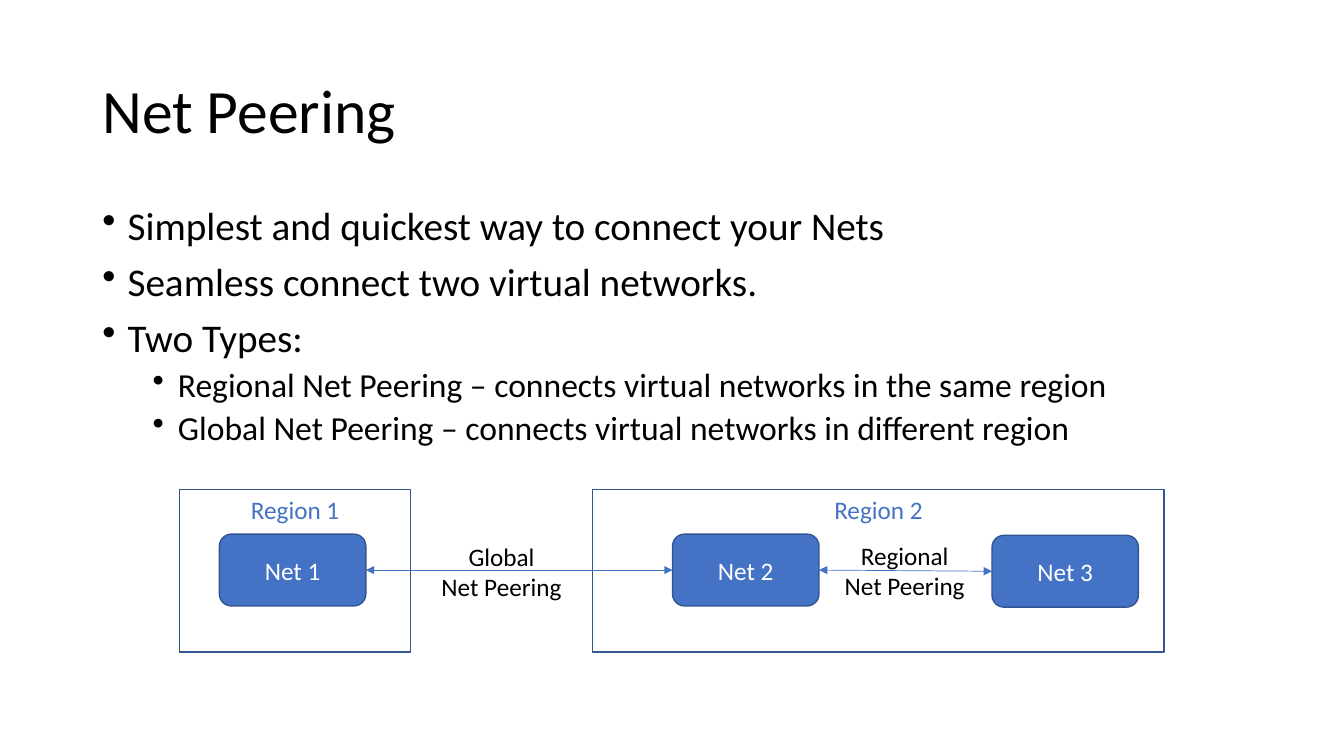
from pptx import Presentation
from pptx.dml.color import RGBColor
from pptx.enum.shapes import MSO_CONNECTOR as Connector, MSO_SHAPE as Preset
from pptx.enum.text import MSO_ANCHOR as Anchor, MSO_AUTO_SIZE as AutoSize, PP_ALIGN as Align
from pptx.oxml.ns import qn
from pptx.util import Cm, Pt
from lxml import etree

BLACK = RGBColor(0x00, 0x00, 0x00)
WHITE = RGBColor(0xFF, 0xFF, 0xFF)
BLUE = RGBColor(0x44, 0x72, 0xC4)
DARK_BLUE = RGBColor(0x32, 0x54, 0x91)
FONT = "Calibri"
LEFT_SITE, RIGHT_SITE = 1, 3

BULLETS = [
    (0, "Simplest and quickest way to connect your Nets"),
    (0, "Seamless connect two virtual networks."),
    (0, "Two Types:"),
    (1, "Regional Net Peering – connects virtual networks in the same region"),
    (1, "Global Net Peering – connects virtual networks in different region"),
]


def add_span(para, text, size, color):
    span = para.add_run()
    span.text = text
    span.font.name = FONT
    span.font.size = Pt(size)
    span.font.color.rgb = color


def add_paragraph(frame, index):
    return frame.paragraphs[0] if index == 0 else frame.add_paragraph()


def add_text_box(page, box, wrap=True):
    frame = page.shapes.add_textbox(*map(Cm, box)).text_frame
    frame.word_wrap = wrap
    return frame


def add_title(page, box):
    frame = add_text_box(page, box)
    frame.vertical_anchor = Anchor.MIDDLE
    para = frame.paragraphs[0]
    para.line_spacing = 0.9
    add_span(para, "Net Peering", 44, BLACK)


def add_bullets(page, box):
    frame = add_text_box(page, box)
    for index, (level, text) in enumerate(BULLETS):
        para = add_paragraph(frame, index)
        para.level = level
        para.line_spacing = 0.9
        para.space_before = Pt(5 if level else 10)
        add_span(para, text, 24 if level else 28, BLACK)
        properties = para._p.get_or_add_pPr()
        properties.set("marL", str(Cm(0.635 + 1.27 * level)))
        properties.set("indent", str(-Cm(0.635)))
        etree.SubElement(properties, qn("a:buChar"), char="•")


def add_block(page, preset, box, text, fill, color, anchor):
    shape = page.shapes.add_shape(preset, *map(Cm, box))
    shape.shadow.inherit = False
    if fill is None:
        shape.fill.background()
    else:
        shape.fill.solid()
        shape.fill.fore_color.rgb = fill
    shape.line.color.rgb = DARK_BLUE
    shape.line.width = Pt(1)
    shape.text_frame.vertical_anchor = anchor
    para = shape.text_frame.paragraphs[0]
    para.alignment = Align.CENTER
    add_span(para, text, 18, color)
    return shape


def add_peering_arrow(page, start, end):
    """Join two networks with a double-headed arrow."""
    arrow = page.shapes.add_connector(Connector.STRAIGHT, 0, 0, 0, 0)
    arrow.begin_connect(start, RIGHT_SITE)
    arrow.end_connect(end, LEFT_SITE)
    arrow.line.color.rgb = BLUE
    arrow.line.width = Pt(0.5)
    line = arrow.line._get_or_add_ln()
    for tag in ("a:headEnd", "a:tailEnd"):
        etree.SubElement(line, qn(tag), type="triangle")
    etree.SubElement(arrow._element.spPr, qn("a:effectLst"))


def add_peering_label(page, box, kind):
    frame = add_text_box(page, box, wrap=False)
    frame.auto_size = AutoSize.SHAPE_TO_FIT_TEXT
    for index, text in enumerate((kind, "Net Peering")):
        para = add_paragraph(frame, index)
        para.alignment = Align.CENTER
        add_span(para, text, 18, BLACK)


def add_diagram(page, box):
    left, top, width, height = box
    region_widths = (5.82, 14.4)
    region_lefts = (left, left + width - region_widths[1])
    for number, (x, region_width) in enumerate(zip(region_lefts, region_widths), 1):
        add_block(page, Preset.RECTANGLE, (x, top, region_width, height),
                  f"Region {number}", None, BLUE, Anchor.TOP)

    networks = [
        add_block(page, Preset.ROUNDED_RECTANGLE, (left + x, top + y, 3.69, 1.81),
                  f"Net {number}", BLUE, WHITE, Anchor.MIDDLE)
        for number, (x, y) in enumerate([(1, 1.12), (12.42, 1.12), (20.47, 1.15)], 1)
    ]
    add_peering_arrow(page, networks[0], networks[1])
    for x, y, kind in ((6.14, 1.17, "Global"), (16.3, 1.15, "Regional")):
        add_peering_label(page, (left + x, top + y, 3.94, 1.8), kind)
    add_peering_arrow(page, networks[1], networks[2])


def main():
    deck = Presentation()
    deck.slide_width, deck.slide_height = Cm(33.87), Cm(19.05)
    page = deck.slides.add_slide(deck.slide_layouts[6])
    add_title(page, (2.33, 1.01, 29.21, 3.68))
    add_bullets(page, (2.33, 5.07, 29.21, 12.09))
    add_diagram(page, (4.53, 12.34, 24.81, 4.09))
    deck.save("out.pptx")


if __name__ == "__main__":
    main()
